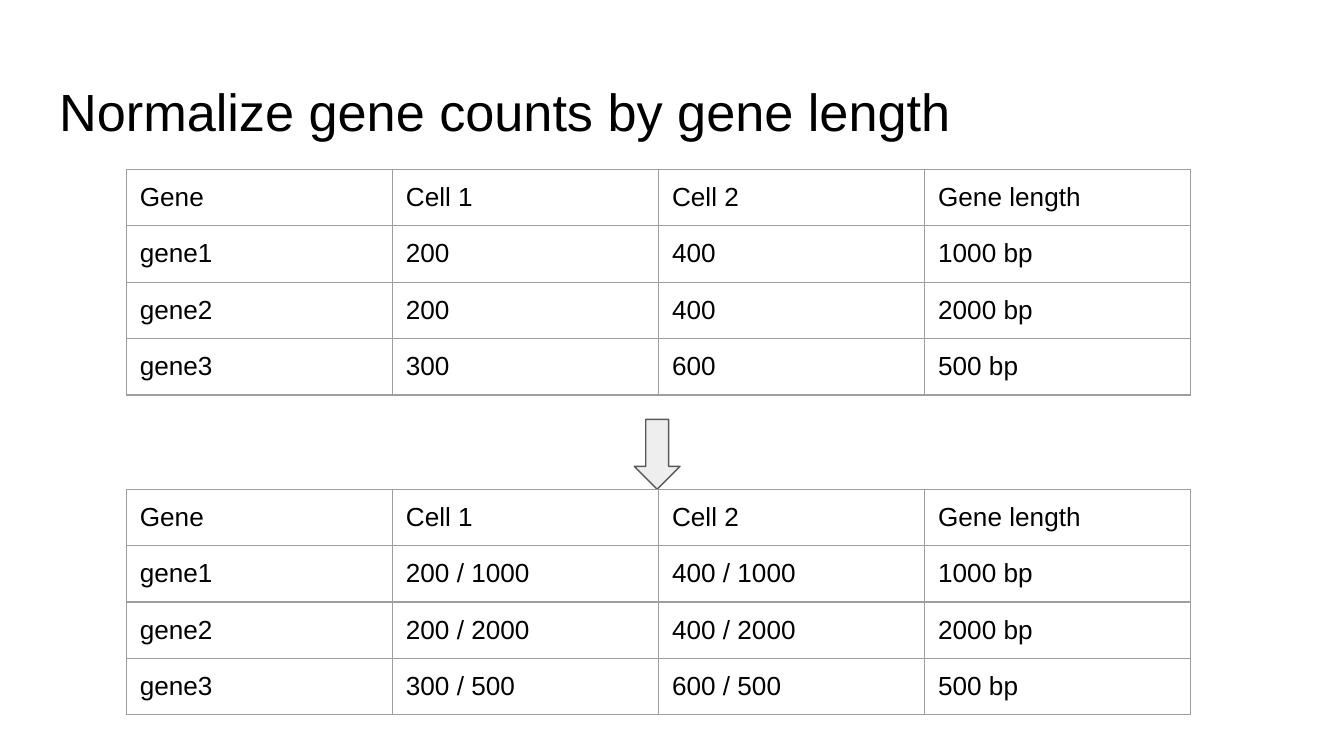
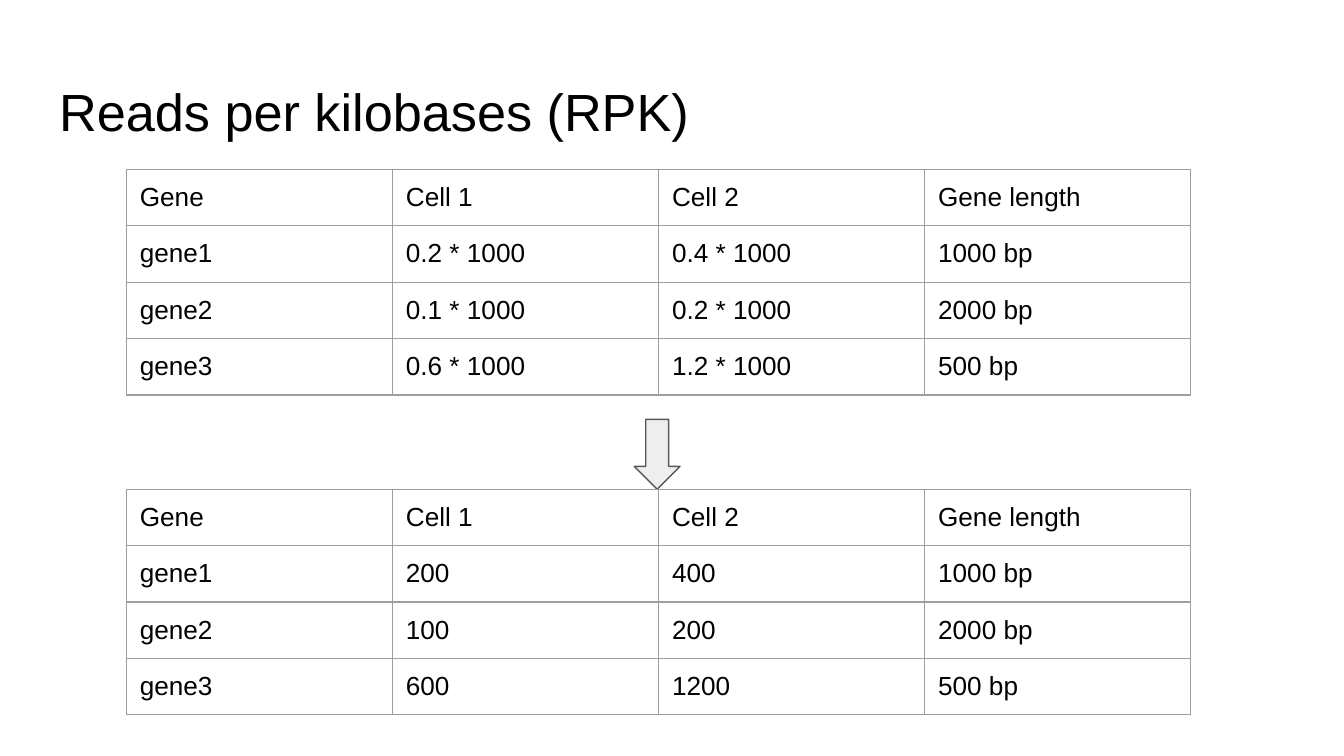
import pptx
import pptx.dml.color
import pptx.enum.shapes
import pptx.enum.text
import pptx.oxml
import pptx.oxml.ns
import pptx.util
from pptx.util import Inches

HEADER = ("Gene", "Cell 1", "Cell 2", "Gene length")
GENES = ("gene1", "gene2", "gene3")
LENGTHS = ("1000 bp", "2000 bp", "500 bp")

SLIDES = (
    (
        "Normalize gene counts by gene length",
        (("200", "200", "300"), ("400", "400", "600")),
        (
            ("200 / 1000", "200 / 2000", "300 / 500"),
            ("400 / 1000", "400 / 2000", "600 / 500"),
        ),
    ),
    (
        "Reads per kilobases (RPK)",
        (
            ("0.2 * 1000", "0.1 * 1000", "0.6 * 1000"),
            ("0.4 * 1000", "0.2 * 1000", "1.2 * 1000"),
        ),
        (("200", "100", "600"), ("400", "200", "1200")),
    ),
)


def color(value):
    return pptx.dml.color.RGBColor.from_string(value)


class GeneDeck:
    """Build slides that show gene tables before and after a step."""

    font = "Arial"
    ink = "000000"
    border = "9E9E9E"
    arrow_fill = "EEEEEE"
    arrow_line = "595959"
    line_width = pptx.util.Pt(0.75)
    margin = Inches(0.1)
    table_left = Inches(0.94)
    column_width = Inches(1.98)
    row_height = Inches(0.42)

    def __init__(self):
        self.deck = pptx.Presentation()
        self.deck.slide_width = Inches(10)
        self.deck.slide_height = Inches(10) * 9 // 16
        self.page = None

    def set_margins(self, holder):
        holder.margin_left = holder.margin_right = self.margin
        holder.margin_top = holder.margin_bottom = self.margin

    def add_text(self, para, text, size):
        span = para.add_run()
        span.text = text
        span.font.name = self.font
        span.font.size = pptx.util.Pt(size)
        span.font.color.rgb = color(self.ink)

    def add_page(self, title):
        self.page = self.deck.slides.add_slide(self.deck.slide_layouts[5])
        box = self.page.shapes.title
        box.left, box.top = Inches(0.34), Inches(0.49)
        box.width, box.height = Inches(9.32), Inches(0.63)
        frame = box.text_frame
        frame.word_wrap = True
        frame.auto_size = pptx.enum.text.MSO_AUTO_SIZE.NONE
        frame.vertical_anchor = pptx.enum.text.MSO_ANCHOR.TOP
        self.set_margins(frame)
        para = frame.paragraphs[0]
        para.alignment = pptx.enum.text.PP_ALIGN.LEFT
        self.add_text(para, title, 28)

    def add_borders(self, cell):
        properties = cell._tc.get_or_add_tcPr()
        for side in ("lnL", "lnR", "lnT", "lnB"):
            properties.append(pptx.oxml.parse_xml(
                f'<a:{side} {pptx.oxml.ns.nsdecls("a")} w="{self.line_width}">'
                f'<a:solidFill><a:srgbClr val="{self.border}"/></a:solidFill>'
                f'</a:{side}>'
            ))

    def add_table(self, top, counts):
        rows = [HEADER, *zip(GENES, *counts, LENGTHS)]
        table = self.page.shapes.add_table(
            len(rows), len(HEADER), self.table_left, top,
            self.column_width * len(HEADER), self.row_height * len(rows),
        ).table
        table.first_row = False
        table.horz_banding = False
        for row_index, row in enumerate(rows):
            for column_index, text in enumerate(row):
                cell = table.cell(row_index, column_index)
                self.set_margins(cell)
                self.add_borders(cell)
                cell.fill.background()
                self.add_text(cell.text_frame.paragraphs[0], text, 14)

    def add_arrow(self):
        arrow = self.page.shapes.add_shape(
            pptx.enum.shapes.MSO_SHAPE.DOWN_ARROW,
            Inches(4.72), Inches(3.12), Inches(0.34), Inches(0.52),
        )
        arrow.shadow.inherit = False
        arrow.fill.solid()
        arrow.fill.fore_color.rgb = color(self.arrow_fill)
        arrow.line.color.rgb = color(self.arrow_line)
        arrow.line.width = self.line_width


def main():
    builder = GeneDeck()
    for title, before, after in SLIDES:
        builder.add_page(title)
        builder.add_table(Inches(1.26), before)
        builder.add_arrow()
        builder.add_table(Inches(3.64), after)
    builder.deck.save("out.pptx")


if __name__ == "__main__":
    main()
